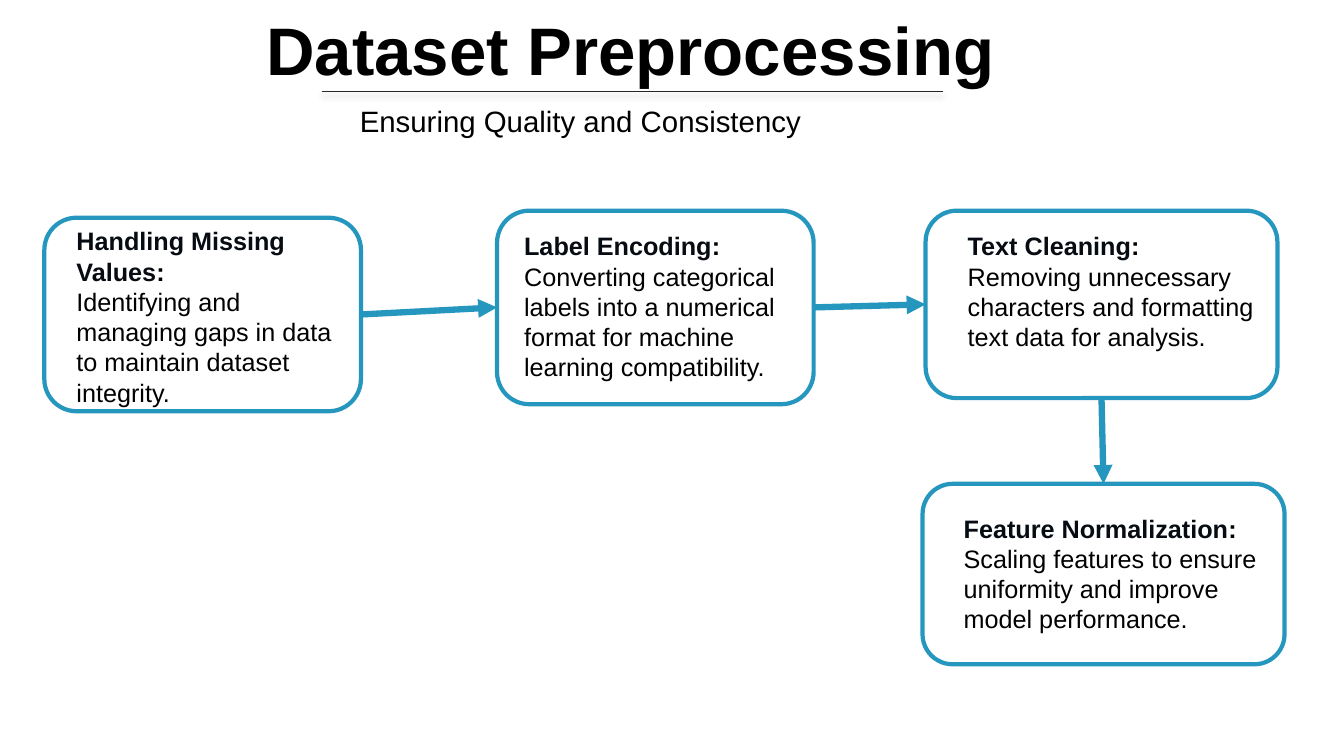
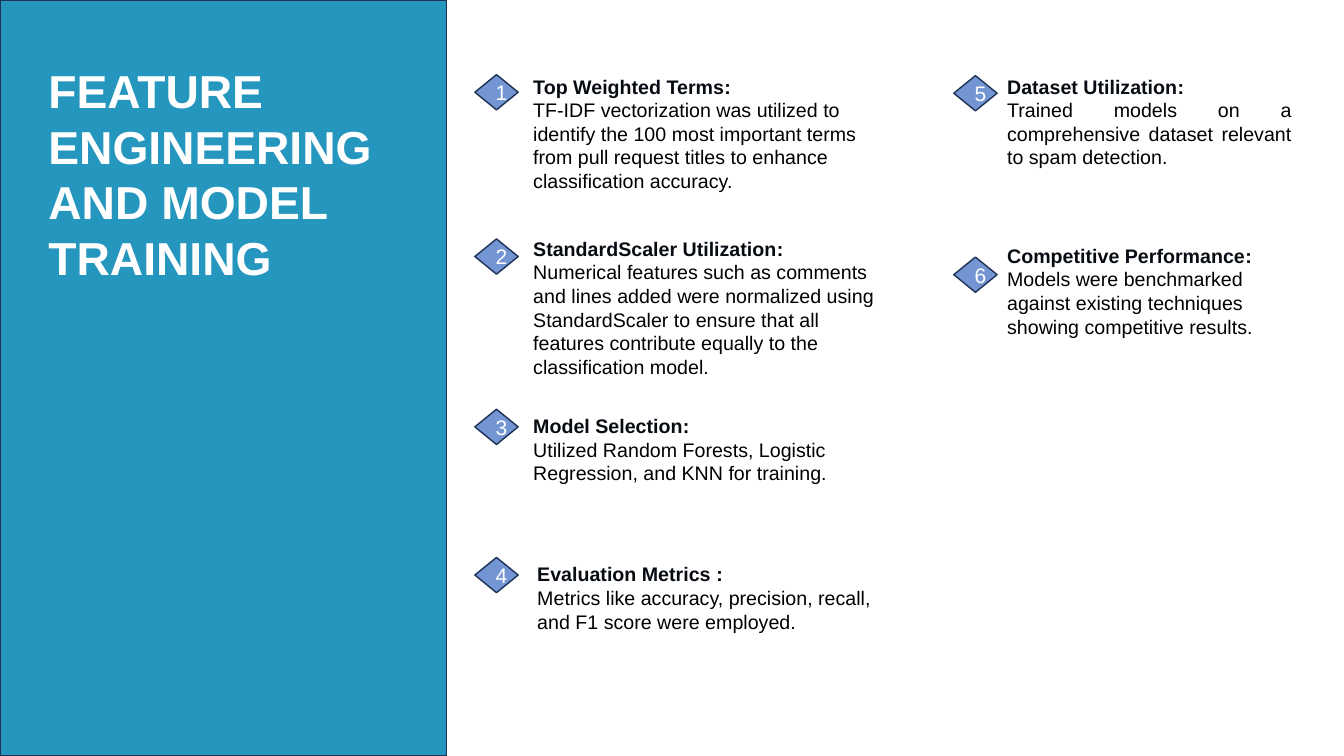
import pptx
import pptx.util
import pptx.dml.color
import pptx.enum.shapes
import pptx.enum.text
import pptx.oxml
import pptx.oxml.ns

Inches = pptx.util.Inches
Pt = pptx.util.Pt
SHAPE = pptx.enum.shapes.MSO_SHAPE
STRAIGHT = pptx.enum.shapes.MSO_CONNECTOR.STRAIGHT
ALIGN = pptx.enum.text.PP_ALIGN
ANCHOR = pptx.enum.text.MSO_ANCHOR
GROW = pptx.enum.text.MSO_AUTO_SIZE.SHAPE_TO_FIT_TEXT

# Shared look
FONT = "Arial"
TEAL = "2596BE"
NAVY = "1E3256"
BLUE = "7395D3"
BLACK = "000000"
WHITE = "FFFFFF"
HEADING = "070B12"


def color(value):
    return pptx.dml.color.RGBColor.from_string(value)


def write(shape, paragraphs, size, align=ALIGN.LEFT, anchor=ANCHOR.TOP, grow=True):
    """Fill a shape with paragraphs, each a list of (text, colour, bold) runs."""
    frame = shape.text_frame
    settings = {"word_wrap": True, "vertical_anchor": anchor}
    if grow:
        settings["auto_size"] = GROW
    for name, value in settings.items():
        setattr(frame, name, value)
    for index, runs in enumerate(paragraphs):
        paragraph = frame.add_paragraph() if index else frame.paragraphs[0]
        # The alignment asked for applies to the last paragraph; headings stay left
        last = index == len(paragraphs) - 1
        paragraph.alignment = align if last else ALIGN.LEFT
        for text, text_color, bold in runs:
            run = paragraph.add_run()
            run.text = text
            for name, value in {"name": FONT, "size": Pt(size), "bold": bold}.items():
                setattr(run.font, name, value)
            run.font.color.rgb = color(text_color)


presentation = pptx.Presentation()
presentation.slide_width = Inches(13.33)
presentation.slide_height = Inches(7.5)
title_only = presentation.slide_layouts[5]

# Titles of both slides
titles = [
    ("Dataset Preprocessing", 48, BLACK, (2.54, 0.03, 7.46, 0.91)),
    ("FEATURE ENGINEERING AND MODEL TRAINING", 33, WHITE, (0.38, 0.57, 3.7, 2.32)),
]
for text, size, title_color, place in titles:
    title = presentation.slides.add_slide(title_only).shapes.title
    for name, value in zip(("left", "top", "width", "height"), place):
        setattr(title, name, Inches(value))
    write(title, [[(text, title_color, True)]], size)
flow_slide, training_slide = presentation.slides

# Slide 1: subtitle and the shadowed rule below the title
shapes = flow_slide.shapes
subtitle = shapes.add_textbox(Inches(3.47), Inches(0.97), Inches(6.24), Inches(0.45))
write(subtitle, [[("Ensuring Quality and Consistency", BLACK, False)]], 21)

rule = shapes.add_connector(STRAIGHT, Inches(3.19), Inches(0.91), Inches(9.35), Inches(0.91))
rule.line.color.rgb = color("262626")
rule.line.width = Pt(0.5)
rule.element.spPr.append(pptx.oxml.parse_xml(
    f'<a:effectLst {pptx.oxml.ns.nsdecls("a")}>'
    '<a:outerShdw blurRad="50800" dist="38100" dir="5400000" rotWithShape="0">'
    '<a:srgbClr val="000000"><a:alpha val="40000"/></a:srgbClr>'
    '</a:outerShdw></a:effectLst>'))

# Slide 1: steps, with the place of the text and of its frame
steps = [
    ("Handling Missing Values",
     "Identifying and managing gaps in data to maintain dataset integrity.",
     (0.66, 2.19, 2.92, 2.22), (0.44, 2.16, 3.14, 1.92)),
    ("Label Encoding",
     "Converting categorical labels into a numerical format for machine learning compatibility.",
     (5.1, 2.24, 2.81, 1.62), (4.93, 2.09, 3.14, 1.92)),
    ("Text Cleaning",
     "Removing unnecessary characters and formatting text data for analysis.",
     (9.5, 2.24, 3.24, 1.31), (9.18, 2.09, 3.49, 1.86)),
    ("Feature Normalization",
     "Scaling features to ensure uniformity and improve model performance.",
     (9.46, 5.04, 3.34, 1.31), (9.15, 4.8, 3.59, 1.79)),
]
frames = []
for heading, body, text_place, frame_place in steps:
    text_box = shapes.add_textbox(*map(Inches, text_place))
    write(text_box, [[(heading, HEADING, True), (":", BLACK, True)],
                     [(body, BLACK, False)]], 18)
    frame = shapes.add_shape(SHAPE.ROUNDED_RECTANGLE, *map(Inches, frame_place))
    frame.shadow.inherit = False
    frame.fill.background()
    frame.line.color.rgb = color(TEAL)
    frame.line.width = Pt(3)
    frames.append(frame)

# Slide 1: arrows between neighbouring frames (sites: 0 top, 1 left, 2 bottom, 3 right)
for start, end, sites in zip(frames, frames[1:], [(3, 1), (3, 1), (2, 0)]):
    arrow = shapes.add_connector(STRAIGHT, 0, 0, 0, 0)
    arrow.begin_connect(start, sites[0])
    arrow.end_connect(end, sites[1])
    arrow.line.color.rgb = color(TEAL)
    arrow.line.width = Pt(4.5)
    namespace = pptx.oxml.ns.nsdecls("a")
    arrow.line._get_or_add_ln().append(
        pptx.oxml.parse_xml(f'<a:tailEnd {namespace} type="triangle"/>'))
    arrow.element.spPr.append(pptx.oxml.parse_xml(f"<a:effectLst {namespace}/>"))

# Slide 2: panel behind the title
shapes = training_slide.shapes
panel = shapes.add_shape(SHAPE.RECTANGLE, 0, 0, Inches(4.43), presentation.slide_height)
panel.shadow.inherit = False
panel.fill.solid()
panel.fill.fore_color.rgb = color(TEAL)
panel.line.color.rgb = color(NAVY)
panel.line.width = Pt(1)
panel.element.addnext(shapes.title.element)

# Slide 2: numbered points, with the diamond's corner and the place of the text
points = [
    ("Top Weighted Terms", ":",
     "TF-IDF vectorization was utilized to identify the 100 most important terms "
     "from pull request titles to enhance classification accuracy.",
     (4.71, 0.74), (5.19, 0.69, 3.72, 1.28), ALIGN.LEFT),
    ("StandardScaler Utilization", ":",
     "Numerical features such as comments and lines added were normalized using "
     "StandardScaler to ensure that all features contribute equally to the "
     "classification model.",
     (4.71, 2.37), (5.19, 2.3, 3.72, 1.51), ALIGN.LEFT),
    ("Model Selection", ":",
     "Utilized Random Forests, Logistic Regression, and KNN for training.",
     (4.71, 4.06), (5.19, 4.06, 3.72, 0.81), ALIGN.LEFT),
    ("Evaluation Metrics", " :",
     "Metrics like accuracy, precision, recall, and F1 score were employed.",
     (4.71, 5.53), (5.23, 5.53, 3.68, 0.81), ALIGN.LEFT),
    ("Dataset Utilization", ":",
     "Trained models on a comprehensive dataset relevant to spam detection.",
     (9.46, 0.75), (9.89, 0.69, 3.02, 1.28), ALIGN.JUSTIFY),
    ("Competitive Performance", ":",
     "Models were benchmarked against existing techniques showing competitive results.",
     (9.46, 2.55), (9.89, 2.37, 3.02, 1.04), ALIGN.LEFT),
]
for number, (heading, colon, body, corner, text_place, align) in enumerate(points, 1):
    diamond = shapes.add_shape(SHAPE.DIAMOND, *map(Inches, corner), Inches(0.43), Inches(0.35))
    diamond.shadow.inherit = False
    diamond.fill.solid()
    diamond.fill.fore_color.rgb = color(BLUE)
    diamond.line.color.rgb = color(NAVY)
    diamond.line.width = Pt(1)
    write(diamond, [[(str(number), WHITE, False)]], 15, ALIGN.CENTER, ANCHOR.MIDDLE, grow=False)
    text_box = shapes.add_textbox(*map(Inches, text_place))
    write(text_box, [[(heading, HEADING, True), (colon, BLACK, True)],
                     [(body, BLACK, False)]], 14, align)

presentation.save("out.pptx")
